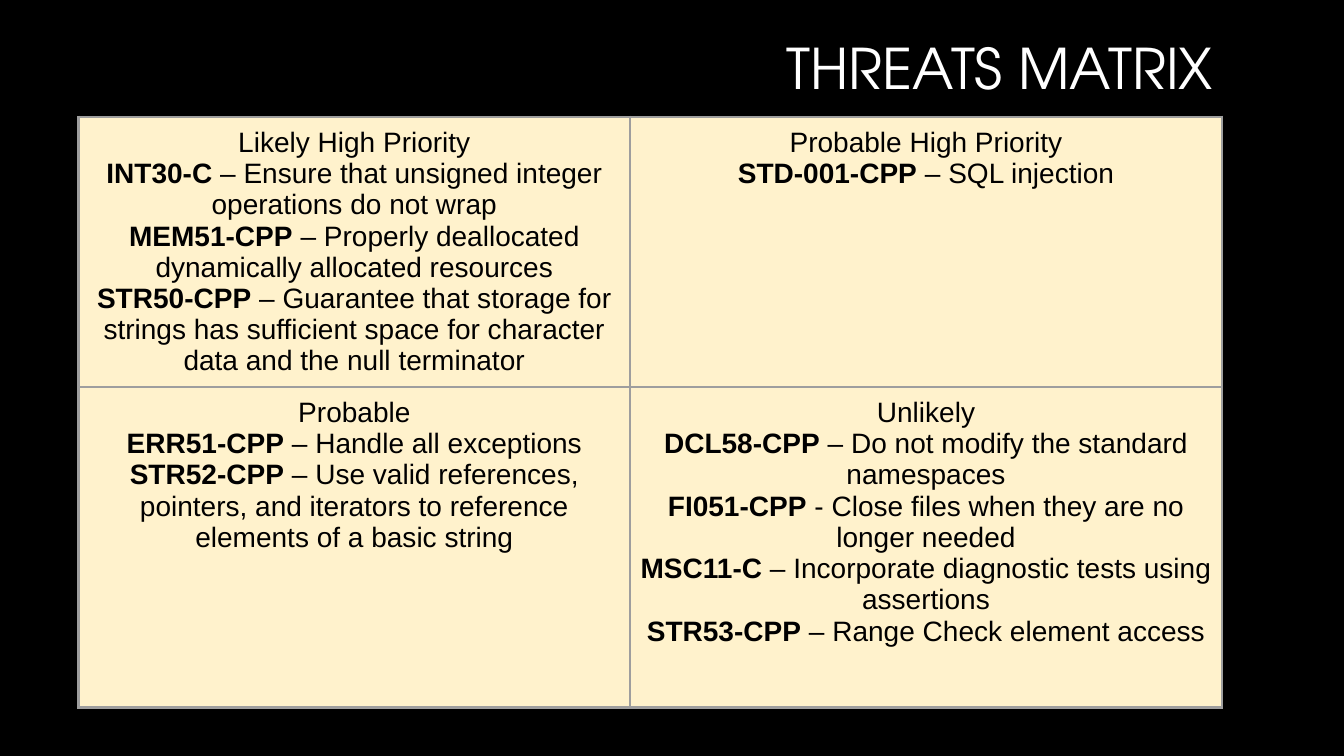
from lxml import etree
from pptx import Presentation
from pptx.dml.color import RGBColor
from pptx.enum.text import MSO_ANCHOR as Anchor, MSO_AUTO_SIZE as AutoSize, PP_ALIGN as Align
from pptx.oxml.ns import qn
from pptx.util import Inches, Pt

SLIDE_WIDTH, SLIDE_HEIGHT = 13.33, 7.5
COLUMN_WIDTHS = (5.47, 5.87)
ROW_HEIGHTS = (1.6, 3.18)  # the first row grows with its text
MATRIX_LEFT, MATRIX_TOP, MATRIX_HEIGHT = 0.78, 1.16, 6.05
BLACK, WHITE, CREAM, GREY = "000000", "FFFFFF", "FFF2CC", "9E9E9E"

# Each quadrant: heading, then (rule, description) pairs
THREATS = [
    [
        ("Likely High Priority", [
            ("INT30-C", " – Ensure that unsigned integer operations do not wrap"),
            ("MEM51-CPP", " – Properly deallocated dynamically allocated resources"),
            ("STR50-CPP", " – Guarantee that storage for strings has sufficient space "
                          "for character data and the null terminator"),
        ]),
        ("Probable High Priority", [
            ("STD-001-CPP", " – SQL injection"),
        ]),
    ],
    [
        ("Probable", [
            ("ERR51-CPP", " – Handle all exceptions"),
            ("STR52-CPP", " – Use valid references, pointers, and iterators to "
                          "reference elements of a basic string"),
        ]),
        ("Unlikely", [
            ("DCL58-CPP", " – Do not modify the standard namespaces"),
            ("FI051-CPP", " - Close files when they are no longer needed"),
            ("MSC11-C", " – Incorporate diagnostic tests using assertions"),
            ("STR53-CPP", " – Range Check element access"),
        ]),
    ],
]


def paint(fill, color):
    fill.solid()
    fill.fore_color.rgb = RGBColor.from_string(color)


def style(paragraph, font_name, size, color, align):
    paragraph.alignment = align
    paragraph.font.name = font_name
    paragraph.font.size = Pt(size)
    paragraph.font.color.rgb = RGBColor.from_string(color)


def add_title(slide, text):
    title = slide.shapes.title
    title.left, title.top = Inches(2.71), 0
    title.width, title.height = Inches(9.42), Inches(1.41)
    frame = title.text_frame
    frame.text = text
    frame.word_wrap = True
    frame.auto_size = AutoSize.NONE
    frame.vertical_anchor = Anchor.MIDDLE
    heading = frame.paragraphs[0]
    heading.line_spacing = 0.9
    style(heading, "TeX Gyre Adventor", 40, WHITE, Align.RIGHT)


def add_borders(cell, color, width):
    properties = cell._tc.get_or_add_tcPr()
    for position, side in enumerate(("a:lnL", "a:lnR", "a:lnT", "a:lnB")):
        line = etree.Element(qn(side), w=str(Pt(width)))
        solid = etree.SubElement(line, qn("a:solidFill"))
        etree.SubElement(solid, qn("a:srgbClr"), val=color)
        properties.insert(position, line)


def fill_quadrant(cell, heading, rules):
    cell.margin_left = cell.margin_right = Inches(0.1)
    cell.margin_top = cell.margin_bottom = Inches(0.1)
    cell.vertical_anchor = Anchor.TOP
    paint(cell.fill, CREAM)
    add_borders(cell, GREY, 2.25)

    frame = cell.text_frame
    frame.text = heading
    for rule, description in rules:
        entry = frame.add_paragraph()
        code = entry.add_run()
        code.text = rule
        code.font.bold = True
        entry.add_run().text = description
    for paragraph in frame.paragraphs:
        style(paragraph, "Arial", 20, BLACK, Align.CENTER)


def add_matrix(slide, quadrants):
    matrix_frame = slide.shapes.add_table(
        len(ROW_HEIGHTS), len(COLUMN_WIDTHS), Inches(MATRIX_LEFT), Inches(MATRIX_TOP),
        Inches(sum(COLUMN_WIDTHS)), Inches(sum(ROW_HEIGHTS)))
    matrix = matrix_frame.table
    matrix.first_row = matrix.horz_banding = False
    for column, width in zip(matrix.columns, COLUMN_WIDTHS):
        column.width = Inches(width)
    for row, height, row_quadrants in zip(matrix.rows, ROW_HEIGHTS, quadrants):
        row.height = Inches(height)
        for cell, (heading, rules) in zip(row.cells, row_quadrants):
            fill_quadrant(cell, heading, rules)
    matrix_frame.height = Inches(MATRIX_HEIGHT)


def main():
    deck = Presentation()
    deck.slide_width, deck.slide_height = Inches(SLIDE_WIDTH), Inches(SLIDE_HEIGHT)
    slide = deck.slides.add_slide(deck.slide_layouts.get_by_name("Title Only"))
    paint(slide.background.fill, BLACK)
    add_title(slide, "THREATS MATRIX")
    add_matrix(slide, THREATS)
    deck.save("out.pptx")


if __name__ == "__main__":
    main()
